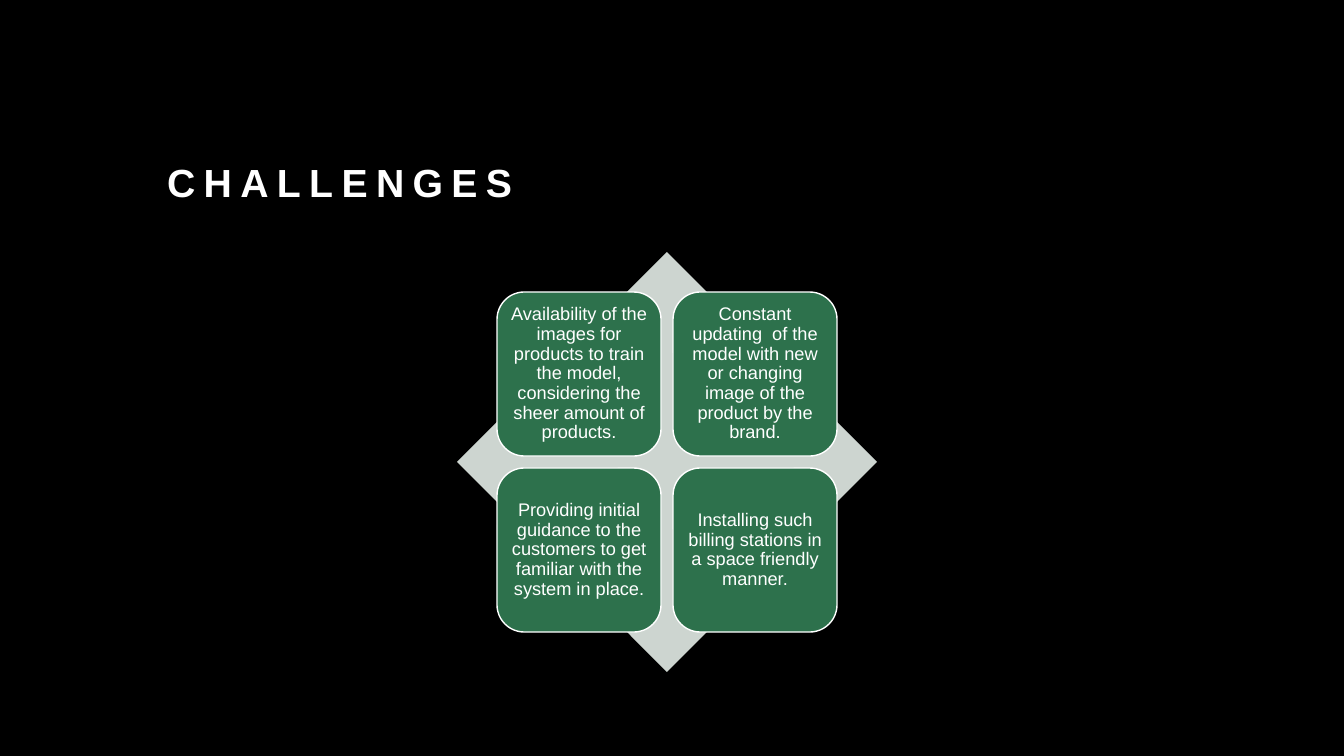
from pptx import Presentation
from pptx.dml.color import RGBColor
from pptx.enum import shapes, text
from pptx.util import Pt

TITLE = "CHALLENGES"
CHALLENGES = [
    "Availability of the images for products to train the model, "
    "considering the sheer amount of products.",
    "Constant updating\u00a0 of the model with new or changing image "
    "of the product by the brand.",
    "Providing initial guidance to the customers to get familiar "
    "with the system in place.",
    "Installing such billing stations in a space friendly manner.",
]

THEME = {
    "font": "Arial",
    "background": RGBColor(0x00, 0x00, 0x00),
    "text": RGBColor(0xFF, 0xFF, 0xFF),
    "diamond": RGBColor(0xCD, 0xD5, 0xD0),
    "card": RGBColor(0x2D, 0x71, 0x4C),
    "title_size": Pt(28),
    "title_spacing": Pt(6),
    "card_size": Pt(13),
    "outline": Pt(1),
}

WIDTH, HEIGHT = 1344, 756
SCALE = 12192000 / WIDTH
TITLE_BOX = (157, 115, 1018, 95)
DIAMOND_LEFT, DIAMOND_TOP, DIAMOND_SIZE = 457, 252, 420
CARD_SIZE, CARD_GAP, CARD_INSET = 164, 12, 5
COLUMNS = 2


def emu(pixels):
    return round(pixels * SCALE)


def style_text(paragraph, size, line_spacing, alignment, bold=False):
    paragraph.alignment = alignment
    paragraph.line_spacing = line_spacing
    paragraph.font.name = THEME["font"]
    paragraph.font.size = size
    paragraph.font.bold = bold
    paragraph.font.color.rgb = THEME["text"]


def add_title(slide):
    title = slide.shapes.title
    title.left, title.top, title.width, title.height = map(emu, TITLE_BOX)
    frame = title.text_frame
    frame.text = TITLE
    frame.vertical_anchor = text.MSO_ANCHOR.BOTTOM
    paragraph = frame.paragraphs[0]
    style_text(paragraph, THEME["title_size"], 1.2, text.PP_ALIGN.LEFT, bold=True)
    spacing = str(round(THEME["title_spacing"].pt * 100))
    paragraph.runs[0].font._element.set("spc", spacing)


def add_filled_shape(group, kind, left, top, size, color):
    shape = group.shapes.add_shape(kind, emu(left), emu(top), emu(size), emu(size))
    shape.shadow.inherit = False
    shape.fill.solid()
    shape.fill.fore_color.rgb = color
    shape.line.fill.background()
    return shape


def add_card(group, left, top, challenge):
    card = add_filled_shape(group, shapes.MSO_SHAPE.ROUNDED_RECTANGLE,
                            left, top, CARD_SIZE, THEME["card"])
    card.line.color.rgb = THEME["text"]
    card.line.width = THEME["outline"]
    frame = card.text_frame
    frame.word_wrap = True
    frame.vertical_anchor = text.MSO_ANCHOR.MIDDLE
    frame.margin_left = frame.margin_right = emu(CARD_INSET)
    frame.margin_top = frame.margin_bottom = emu(CARD_INSET)
    frame.text = challenge
    style_text(frame.paragraphs[0], THEME["card_size"], 0.9, text.PP_ALIGN.CENTER)


def add_matrix(slide):
    group = slide.shapes.add_group_shape()
    add_filled_shape(group, shapes.MSO_SHAPE.DIAMOND, DIAMOND_LEFT, DIAMOND_TOP,
                     DIAMOND_SIZE, THEME["diamond"])
    margin = (DIAMOND_SIZE - COLUMNS * CARD_SIZE - (COLUMNS - 1) * CARD_GAP) / 2
    step = CARD_SIZE + CARD_GAP
    for index, challenge in enumerate(CHALLENGES):
        row, column = divmod(index, COLUMNS)
        add_card(group, DIAMOND_LEFT + margin + column * step,
                 DIAMOND_TOP + margin + row * step, challenge)


presentation = Presentation()
presentation.slide_width, presentation.slide_height = emu(WIDTH), emu(HEIGHT)
slide = presentation.slides.add_slide(presentation.slide_layouts[5])
slide.background.fill.solid()
slide.background.fill.fore_color.rgb = THEME["background"]
add_title(slide)
add_matrix(slide)
presentation.save("out.pptx")
